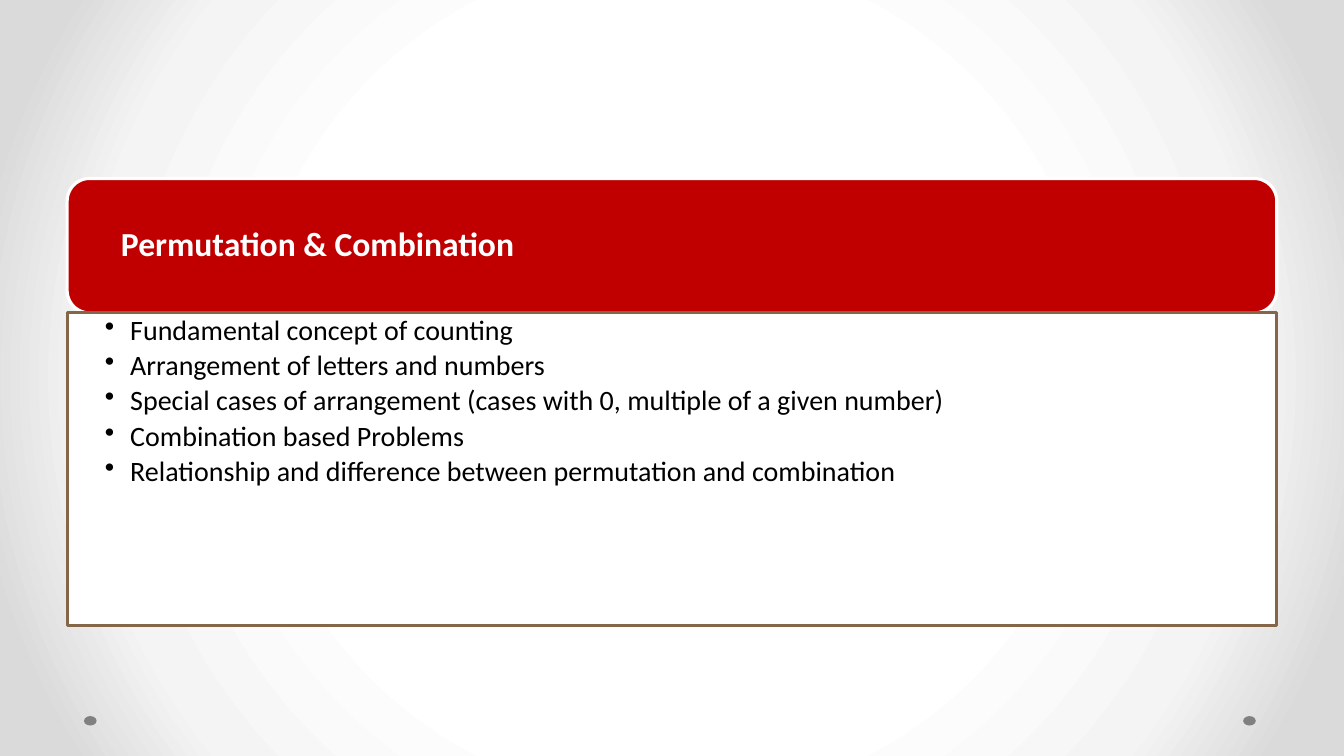
from pptx import Presentation
from pptx.dml.color import RGBColor
from pptx.enum.shapes import MSO_SHAPE as Shape
from pptx.enum.text import MSO_ANCHOR as Anchor, PP_ALIGN as Align
from pptx.oxml import parse_xml
from pptx.oxml.ns import nsdecls
from pptx.util import Emu, Pt

PX = 9525
WIDTH, HEIGHT = 1280, 720
WHITE = RGBColor(0xFF, 0xFF, 0xFF)
BLACK = RGBColor(0x00, 0x00, 0x00)
RED = RGBColor(0xC0, 0x00, 0x00)
BROWN = RGBColor(0x84, 0x66, 0x48)
GREY = RGBColor(0x80, 0x80, 0x80)
PALE = RGBColor(0xF4, 0xF4, 0xF4)
SILVER = RGBColor(0xDA, 0xDA, 0xDA)
FONT = "Calibri"
TOPICS = [
    "Fundamental concept of counting",
    "Arrangement of letters and numbers",
    "Special cases of arrangement (cases with 0, multiple of a given number)",
    "Combination based Problems",
    "Relationship and difference between permutation and combination",
]


def px(length):
    """Turn pixels into EMU."""
    return Emu(length * PX)


def add_box(page, kind, box, fill, line=None):
    """Add a flat preset shape with an optional outline."""
    shape = page.shapes.add_shape(kind, *map(px, box))
    shape.shadow.inherit = False
    shape.fill.solid()
    shape.fill.fore_color.rgb = fill
    if line is None:
        shape.line.fill.background()
    else:
        shape.line.color.rgb = line
        shape.line.width = Pt(2.25)
    return shape


def set_frame(shape, anchor, insets):
    """Set wrapping, anchor and left, top, right, bottom insets."""
    frame = shape.text_frame
    frame.word_wrap = True
    frame.vertical_anchor = anchor
    (frame.margin_left, frame.margin_top,
     frame.margin_right, frame.margin_bottom) = map(px, insets)
    return frame


def style(para, size, color, bold=False):
    """Apply the shared paragraph layout and a font."""
    para.alignment = Align.LEFT
    para.line_spacing = 0.9
    para.font.name = FONT
    para.font.size = Pt(size)
    para.font.bold = bold
    para.font.color.rgb = color


def add_background(page):
    """Fill the page with a gradient that darkens towards the edges."""
    stops = "".join(
        f'<a:gs pos="{share * 1000}"><a:srgbClr val="{color}"/></a:gs>'
        for share, color in ((50, WHITE), (76, PALE), (92, SILVER)))
    page.element.cSld.insert(0, parse_xml(
        f'<p:bg {nsdecls("p", "a")}><p:bgPr><a:gradFill rotWithShape="1">'
        f'<a:gsLst>{stops}</a:gsLst><a:path path="circle">'
        '<a:fillToRect l="50000" t="50000" r="50000" b="50000"/></a:path>'
        '</a:gradFill><a:effectLst/></p:bgPr></p:bg>'))


def add_dots(page, box):
    """Place a small dot at each end of the footer box."""
    left, top, width, height = box
    dot_width = 12
    for dot_left in (left, left + width - dot_width):
        add_box(page, Shape.OVAL, (dot_left, top, dot_width, height), GREY)


def add_heading(page, box, text):
    """Draw the rounded heading bar."""
    bar = add_box(page, Shape.ROUNDED_RECTANGLE, box, RED, WHITE)
    para = set_frame(bar, Anchor.MIDDLE, (45, 8, 8, 8)).paragraphs[0]
    para.text = text
    style(para, 24, WHITE, bold=True)


def add_topics(page, box, topics):
    """Draw the outlined panel with its bulleted topics."""
    panel = add_box(page, Shape.RECTANGLE, box, WHITE, BROWN)
    frame = set_frame(panel, Anchor.TOP, (36, 3, 15, 3))
    for index, topic in enumerate(topics):
        para = frame.add_paragraph() if index else frame.paragraphs[0]
        para.text = topic
        properties = para._p.get_or_add_pPr()
        properties.set("marL", str(px(24)))
        properties.set("indent", str(px(-24)))
        properties.append(parse_xml(f'<a:buChar {nsdecls("a")} char="•"/>'))
        para.space_after = Pt(3.6)
        style(para, 20, BLACK)


def add_topic_slide(deck):
    """Build the slide from heading bar, topic panel and footer dots."""
    page = deck.slides.add_slide(deck.slide_layouts[6])
    left, top, width, bar_height, panel_height = 64, 170, 1152, 128, 298
    add_background(page)
    add_dots(page, (80, 682, 1116, 9))
    add_heading(page, (left, top, width, bar_height), "Permutation & Combination")
    add_topics(page, (left, top + bar_height, width, panel_height), TOPICS)


def main():
    """Create and save the deck."""
    deck = Presentation()
    deck.slide_width, deck.slide_height = px(WIDTH), px(HEIGHT)
    add_topic_slide(deck)
    deck.save("out.pptx")


if __name__ == "__main__":
    main()
